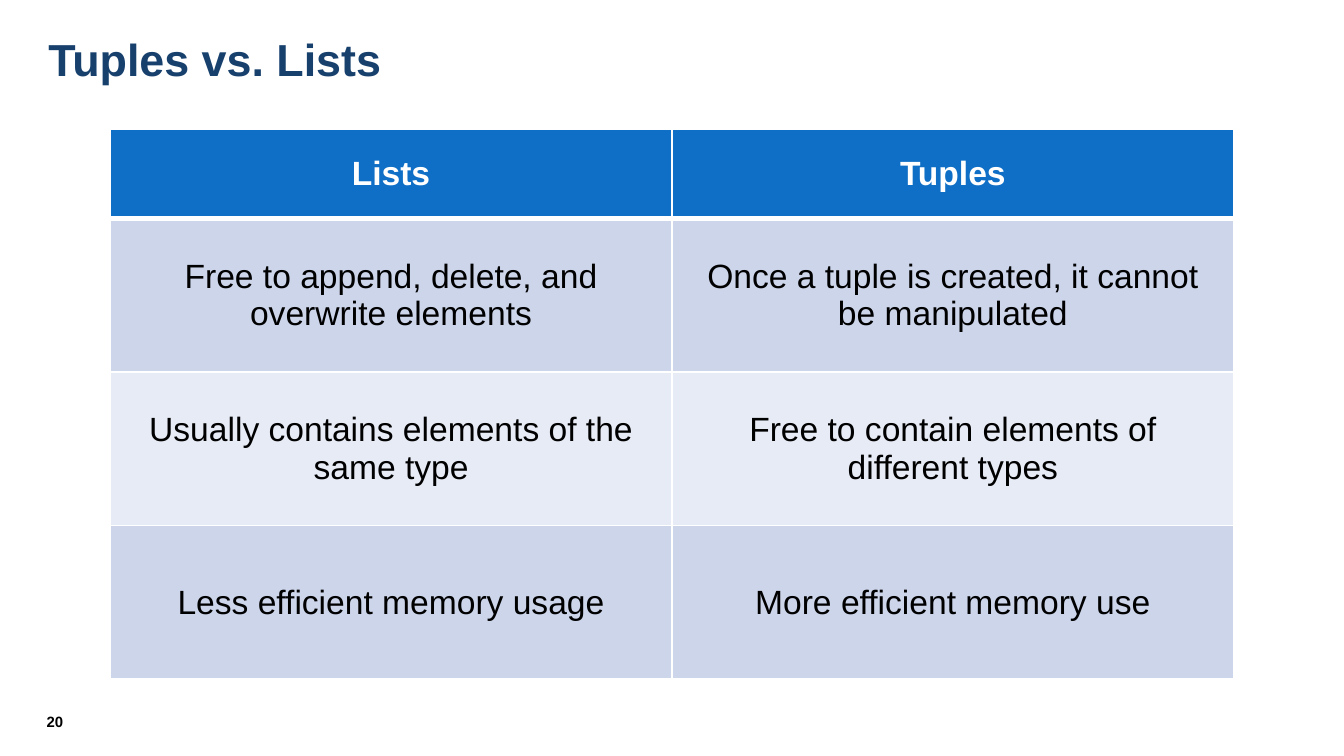
from lxml import etree
from pptx import Presentation
from pptx.dml.color import RGBColor
from pptx.enum.text import MSO_ANCHOR, PP_ALIGN
from pptx.oxml.ns import qn
from pptx.util import Pt

MIDDLE, TOP = MSO_ANCHOR.MIDDLE, MSO_ANCHOR.TOP
CENTER, LEFT = PP_ALIGN.CENTER, PP_ALIGN.LEFT
TITLE_ONLY = 5
FONT = "Arial"
COLORS = {
    "title": "17406D",
    "header": "0F6FC6",
    "odd_row": "CCD5EA",
    "even_row": "E7EBF5",
    "white": "FFFFFF",
    "black": "000000",
}
COMPARISON = [
    ("Lists", "Tuples"),
    ("Free to append, delete, and overwrite elements",
     "Once a tuple is created, it cannot be manipulated"),
    ("Usually contains elements of the same type",
     "Free to contain elements of different types"),
    ("Less efficient memory usage", "More efficient memory use"),
]
COLUMN_WIDTH, HEADER_HEIGHT, ROW_HEIGHT = 301, 47.6, 82.3


def rgb(name):
    return RGBColor.from_string(COLORS[name])


def write(frame, text, size, color, bold=False, align=LEFT):
    paragraph = frame.paragraphs[0]
    paragraph.alignment = align
    run = paragraph.add_run()
    run.text = text
    run.font.name = FONT
    run.font.size = Pt(size)
    run.font.bold = bold
    run.font.color.rgb = rgb(color)


def add_title(slide, text):
    title = slide.shapes.title
    title.left, title.top = Pt(18.7), Pt(11.5)
    title.width, title.height = Pt(690.5), Pt(39.6)
    title.text_frame.vertical_anchor = MIDDLE
    write(title.text_frame, text, 24, "title", bold=True)


def add_page_number(slide, number):
    box = slide.shapes.add_textbox(Pt(25), Pt(381.6), Pt(31), Pt(13))
    frame = box.text_frame
    frame.word_wrap = True
    frame.vertical_anchor = TOP
    frame.margin_left = frame.margin_right = 0
    frame.margin_top = frame.margin_bottom = 0
    write(frame, number, 8, "black", bold=True)


def set_borders(cell, widths):
    """Draw white cell borders; widths maps L, R, T, B, in that order, to points."""
    properties = cell._tc.get_or_add_tcPr()
    for side, width in widths.items():
        line = etree.SubElement(properties, qn(f"a:ln{side}"), w=str(Pt(width)))
        fill = etree.SubElement(line, qn("a:solidFill"))
        etree.SubElement(fill, qn("a:srgbClr"), val=COLORS["white"])


def add_comparison(slide, rows):
    columns = len(rows[0])
    height = HEADER_HEIGHT + ROW_HEIGHT * (len(rows) - 1)
    table = slide.shapes.add_table(
        len(rows), columns, Pt(59), Pt(69.4),
        Pt(COLUMN_WIDTH * columns), Pt(height)).table
    for column in table.columns:
        column.width = Pt(COLUMN_WIDTH)
    for row_index, row in enumerate(rows):
        is_header = row_index == 0
        table.rows[row_index].height = Pt(HEADER_HEIGHT if is_header else ROW_HEIGHT)
        band = "header" if is_header else "odd_row" if row_index % 2 else "even_row"
        borders = {"L": 1, "R": 1,
                   "T": 3 if row_index == 1 else 1,
                   "B": 3 if is_header else 1}
        for column_index, text in enumerate(row):
            cell = table.cell(row_index, column_index)
            set_borders(cell, borders)
            cell.fill.solid()
            cell.fill.fore_color.rgb = rgb(band)
            cell.vertical_anchor = MIDDLE
            write(cell.text_frame, text, 18, "white" if is_header else "black",
                  bold=is_header, align=CENTER)


def main():
    deck = Presentation()
    deck.slide_width, deck.slide_height = Pt(720), Pt(405)
    slide = deck.slides.add_slide(deck.slide_layouts[TITLE_ONLY])
    add_title(slide, "Tuples vs. Lists")
    add_page_number(slide, "20")
    add_comparison(slide, COMPARISON)
    deck.save("out.pptx")


if __name__ == "__main__":
    main()
